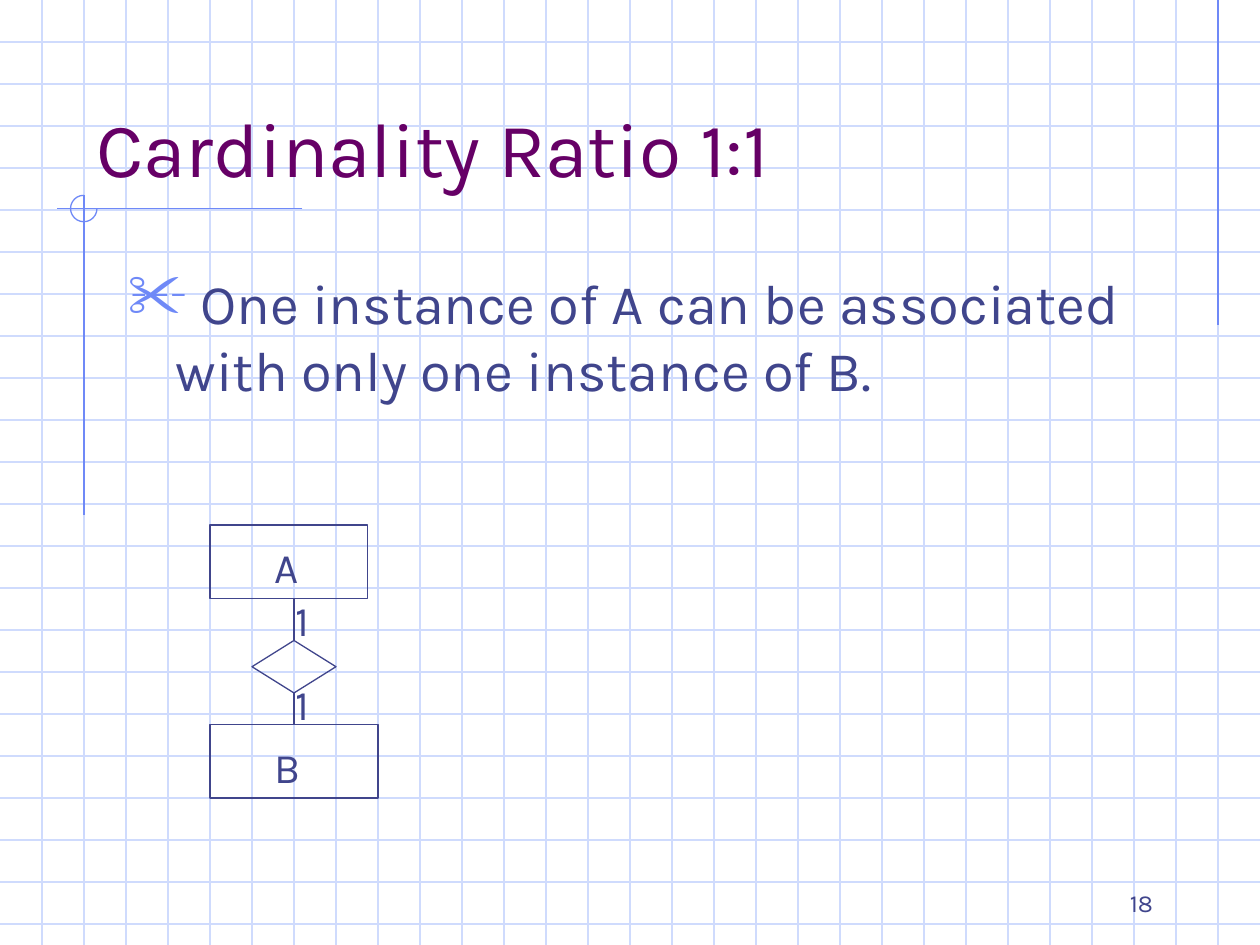
from dataclasses import dataclass

from lxml import etree
from pptx import Presentation, util as u
from pptx.dml.color import RGBColor
from pptx.enum import shapes, text
from pptx.oxml.ns import qn

WHITE = RGBColor(0xFF, 0xFF, 0xFF)
PALE = RGBColor(0xCF, 0xDB, 0xFD)
BLUE = RGBColor(0x6F, 0x89, 0xF7)
INK = RGBColor(0x40, 0x45, 0x8C)
PLUM = RGBColor(0x66, 0x00, 0x66)

FONT = "Karla"
CELL = u.Inches(1) / 3  # one square of the graph paper
COLUMNS, ROWS = 30, 22.5


@dataclass
class Box:
    """A region measured in graph paper squares."""
    left: float
    top: float
    width: float
    height: float

    def inner(self, left, top, width, height):
        return Box(self.left + left, self.top + top, width, height)

    def frame(self):
        return [round(n * CELL) for n in (self.left, self.top, self.width, self.height)]

    def point(self, column, row):
        return round((self.left + column) * CELL), round((self.top + row) * CELL)


def add_line(page, box, start, end, color):
    line = page.shapes.add_connector(
        shapes.MSO_CONNECTOR.STRAIGHT, *box.point(*start), *box.point(*end))
    line.line.color.rgb = color
    line.line.width = u.Pt(0.75)
    etree.SubElement(line._element.spPr, qn("a:effectLst"))
    return line


def add_outline(page, box, kind, color):
    shape = page.shapes.add_shape(kind, *box.frame())
    shape.shadow.inherit = False
    shape.fill.background()
    shape.line.color.rgb = color
    shape.line.width = u.Pt(0.75)
    return shape


def add_text(page, box, words, size, color, frame_format=None, para_format=None):
    frame = page.shapes.add_textbox(*box.frame()).text_frame
    for name, value in {"word_wrap": True, **(frame_format or {})}.items():
        setattr(frame, name, value)
    para = frame.paragraphs[0]
    for name, value in (para_format or {}).items():
        setattr(para, name, value)
    span = para.add_run()
    span.text = words
    for name, value in {"name": FONT, "size": u.Pt(size)}.items():
        setattr(span.font, name, value)
    span.font.color.rgb = color
    return para


def add_bullet(para, mark, color, percent, indent):
    props = para._p.get_or_add_pPr()
    props.set("marL", str(indent))
    props.set("indent", str(-indent))
    tint = etree.SubElement(props, qn("a:buClr"))
    etree.SubElement(tint, qn("a:srgbClr"), val=str(color))
    etree.SubElement(props, qn("a:buSzPct"), val=str(percent * 1000))
    etree.SubElement(props, qn("a:buChar"), char=mark)


def draw_graph_paper(page, box):
    for row in range(1, int(box.height) + 1):
        add_line(page, box, (0, row), (box.width, row), PALE)
    for column in range(1, int(box.width)):
        add_line(page, box, (column, 0), (column, box.height), PALE)


def draw_ornaments(page, box):
    # Rule at the right edge, then the crossing rules under the title
    add_line(page, box, (29, 0), (29, 7.75), BLUE)
    add_line(page, box, (7.2, 4.97), (1.35, 4.97), BLUE)
    add_line(page, box, (2, 4.65), (2, 12.27), BLUE)
    # Three-quarter circle around the crossing
    arc = add_outline(page, box.inner(1.68, 4.65, 0.63, 0.63), shapes.MSO_SHAPE.ARC, BLUE)
    arc.adjustments[0] = 0
    arc.adjustments[1] = 162


def write_texts(page, box):
    bottom = {"vertical_anchor": text.MSO_ANCHOR.BOTTOM}
    add_text(page, box.inner(21.5, 20.5, 6.25, 1.5), "18", 14, INK,
             bottom, {"alignment": text.PP_ALIGN.RIGHT})
    add_text(page, box.inner(2, 1, 25.5, 3.75), "Cardinality Ratio 1:1", 44, PLUM, bottom)
    body = add_text(page, box.inner(2.75, 6.25, 25.5, 3.75),
                    " One instance of A can be associated with only one instance of B.",
                    32, INK, para_format={"space_before": u.Pt(8)})
    add_bullet(body, "✂", BLUE, 110, u.Inches(0.38))


def draw_relationship(page, box):
    middle = 2  # column of the joining lines

    # Entities and the relationship between them
    add_outline(page, box.inner(0, 0, 3.75, 1.75), shapes.MSO_SHAPE.RECTANGLE, INK)
    entity_b = add_outline(page, box.inner(0, 4.75, 4, 1.75), shapes.MSO_SHAPE.RECTANGLE, INK)
    diamond = add_outline(page, box.inner(1, 2.75, 2, 1.25), shapes.MSO_SHAPE.DIAMOND, INK)

    # Joining lines
    upper = add_line(page, box, (middle, 2.75), (middle, 1.75), INK)
    upper.begin_connect(diamond, 0)
    lower = add_line(page, box, (middle, 4), (middle, 4.75), INK)
    lower.begin_connect(diamond, 2)
    lower.end_connect(entity_b, 0)

    # Entity names and cardinalities
    labels = [("A", 1.25, 0.25, 1.5), ("B", 1.25, 5, 1.25),
              ("1", 1.75, 1.5, 1), ("1", 1.75, 3.5, 1)]
    for words, column, row, width in labels:
        add_text(page, box.inner(column, row, width, 1.5), words, 24, INK,
                 {"auto_size": text.MSO_AUTO_SIZE.SHAPE_TO_FIT_TEXT},
                 {"space_before": u.Pt(15)})


def main():
    deck = Presentation()
    deck.slide_width, deck.slide_height = u.Inches(10), u.Inches(7.5)
    page = deck.slides.add_slide(deck.slide_layouts[6])
    page.background.fill.solid()
    page.background.fill.fore_color.rgb = WHITE

    whole = Box(0, 0, COLUMNS, ROWS)
    draw_graph_paper(page, whole)
    draw_ornaments(page, whole)
    write_texts(page, whole)
    draw_relationship(page, whole.inner(5, 12.5, 4, 6.5))
    deck.save("out.pptx")


if __name__ == "__main__":
    main()
